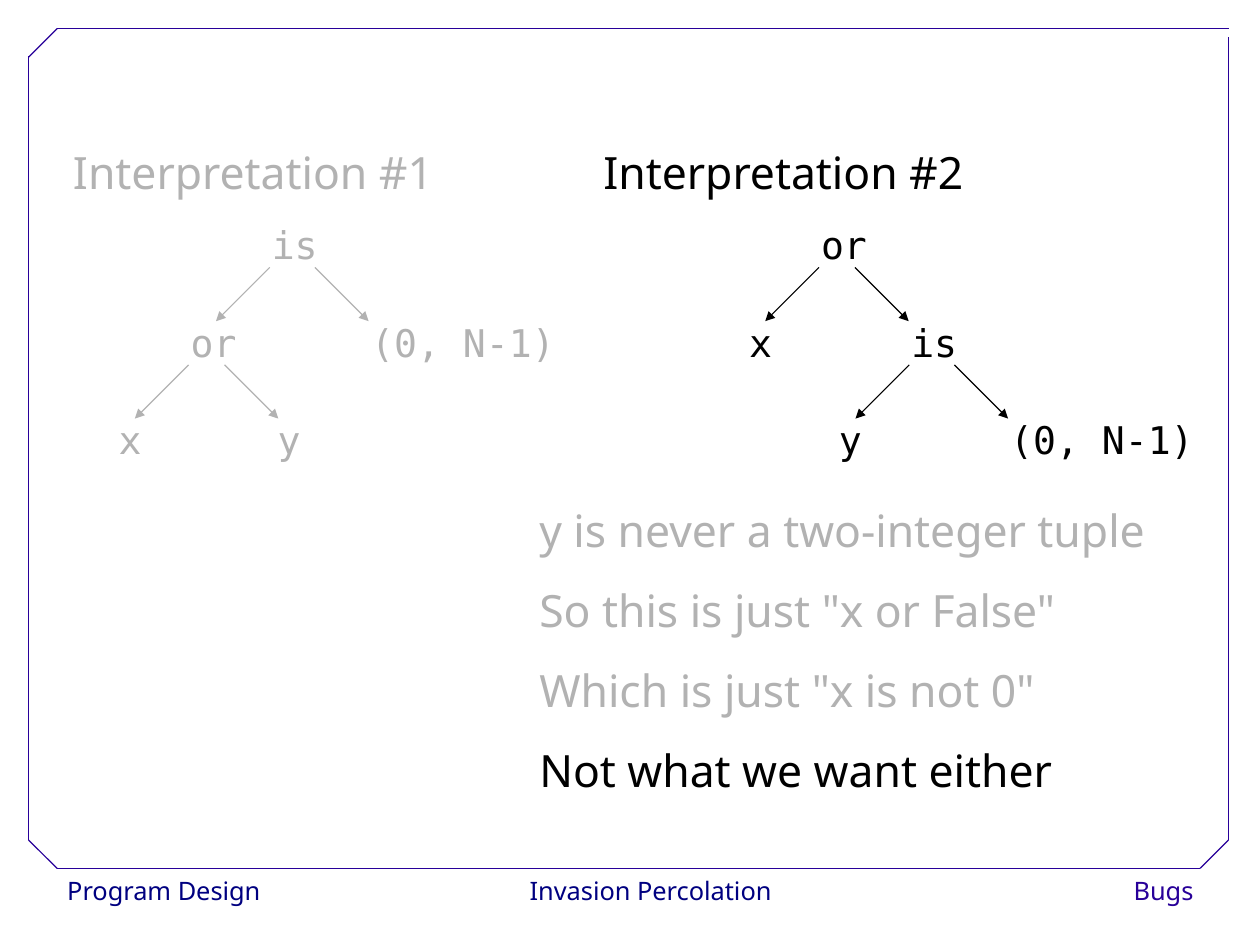
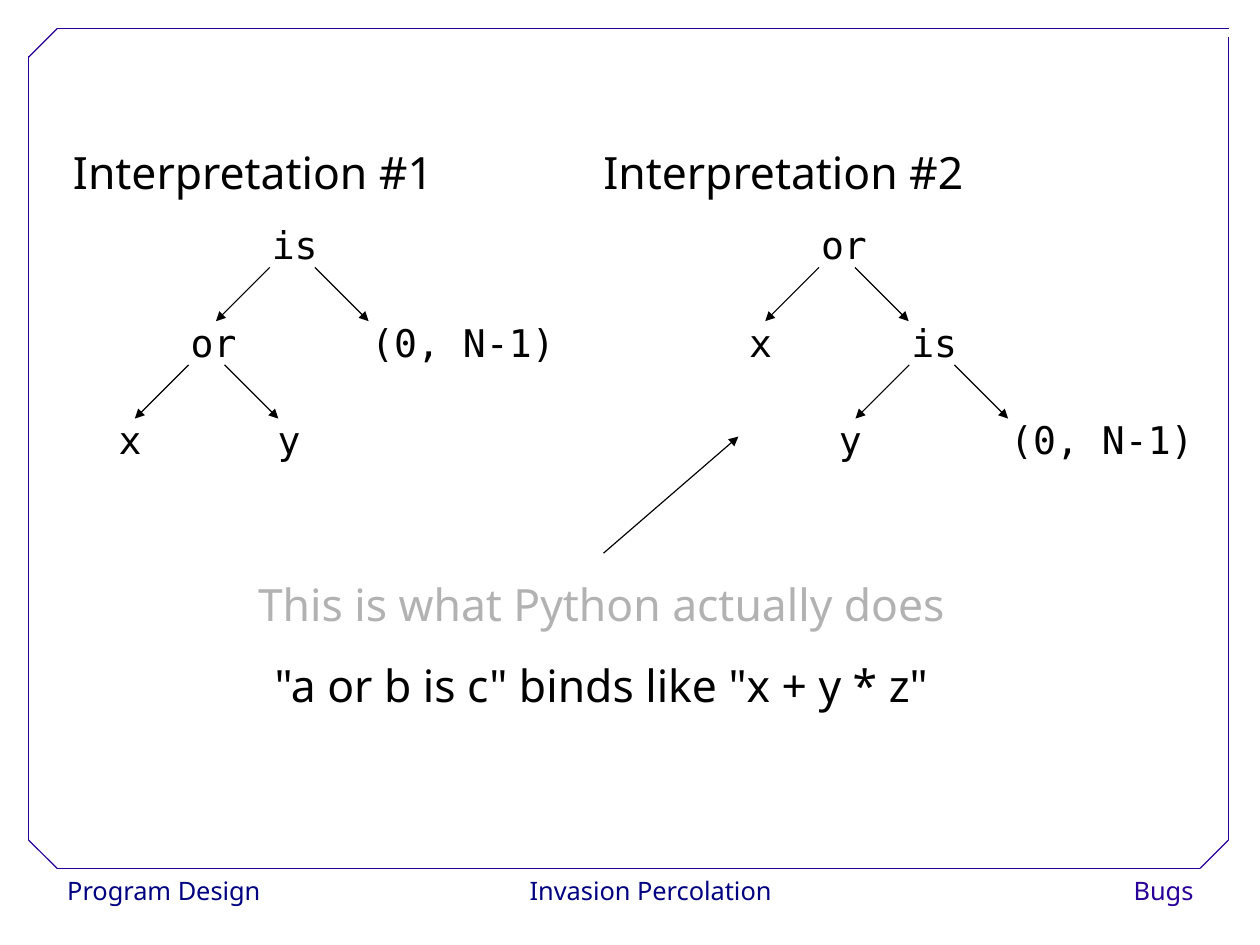
from dataclasses import dataclass
from lxml.etree import SubElement
from pptx import Presentation
from pptx.dml.color import RGBColor
from pptx.enum.shapes import MSO_CONNECTOR
from pptx.enum.text import PP_ALIGN
from pptx.oxml.ns import qn
from pptx.util import Cm, Inches, Pt


@dataclass(frozen=True)
class Theme:
    paper: RGBColor = RGBColor.from_string("FFFFFF")
    ink: RGBColor = RGBColor.from_string("000000")
    faded: RGBColor = RGBColor.from_string("B2B2B2")
    frame: RGBColor = RGBColor.from_string("280099")
    footer: RGBColor = RGBColor.from_string("000080")
    prose_font: str = "Noto Sans"
    code_font: str = "DejaVu Sans Mono"
    prose_size: int = 28
    code_size: int = 24
    footer_size: int = 16
    line_width: float = 0.75


THEME = Theme()
CELL = 0.25  # inches per grid column and row

PROSE = {"name": THEME.prose_font, "size": Pt(THEME.prose_size)}
CODE = {"name": THEME.code_font, "size": Pt(THEME.code_size)}
FOOTER = {"name": THEME.prose_font, "size": Pt(THEME.footer_size)}

FRAME_LINES = [
    ((2, 30.39), (42, 30.39)),
    ((1, 29.4), (1, 1.96)),
    ((2, 1), (43, 1)),
    ((42.99, 29.4), (42.99, 1.28)),
    ((1, 2), (2, 1)),
    ((42, 30.39), (42.99, 29.4)),
    ((1, 29.4), (2, 30.39)),
]
FOOTERS = [
    ("Program Design", 1.96, 7.6, PP_ALIGN.LEFT, THEME.footer),
    ("Invasion Percolation", 17.77, 10, PP_ALIGN.CENTER, THEME.footer),
    ("Bugs", 36.56, 5.6, PP_ALIGN.RIGHT, THEME.frame),
]

# A tree node is its text, its left column and its children.
IS_TREE = ("is", 9.12, [
    ("or", 6.28, [("x", 3.76, []), ("y", 9.32, [])]),
    ("(0, N-1)", 12.6, []),
])
OR_TREE = ("or", 28.34, [
    ("x", 25.82, []),
    ("is", 31.5, [("y", 28.96, []), ("(0, N-1)", 34.96, [])]),
])
TREE_TOP, LEVEL_STEP = 7.16, 3.41
NODE_HEIGHT, ARROW_REACH = 2.2, 1.88
CODE_ADVANCE = 0.82
LEFT_ARROW_START = 0.32
RIGHT_ARROW_START = {"is": 1.9, "or": 1.58}


def grid(cells):
    return Inches(cells * CELL)


class Deck:
    """Holds the presentation, its shared layout and the current page."""

    def __init__(self, width, height):
        self.presentation = Presentation()
        self.presentation.slide_width = width
        self.presentation.slide_height = height
        self.layout = self.presentation.slide_layouts.get_by_name("Blank")
        for placeholder in list(self.layout.placeholders):
            self.layout.shapes.element.remove(placeholder.element)
        self.page = None

    def add_page(self):
        self.page = self.presentation.slides.add_slide(self.layout)

    def share_page_shapes(self):
        """Move what is on the current page to the layout all pages use."""
        for shape in list(self.page.shapes):
            self.layout.shapes.element.append(shape.element)

    def text(self, place, lines, style, spacing, align=PP_ALIGN.LEFT, fill=None):
        """Write (text, colour) lines, one paragraph each."""
        box = self.page.shapes.add_textbox(*map(grid, place))
        if fill is not None:
            box.fill.solid()
            box.fill.fore_color.rgb = fill
        frame = box.text_frame
        frame.word_wrap = False
        for index, (words, color) in enumerate(lines):
            para = frame.add_paragraph() if index else frame.paragraphs[0]
            para.alignment = align
            para.line_spacing = spacing
            span = para.add_run()
            span.text = words
            for name, value in style.items():
                setattr(span.font, name, value)
            span.font.color.rgb = color

    def prose(self, place, lines, align=PP_ALIGN.LEFT):
        self.text(place, lines, PROSE, 1.5, align)

    def line(self, start, end, color, arrow=False):
        connector = self.page.shapes.add_connector(
            MSO_CONNECTOR.STRAIGHT, *map(grid, (*start, *end)))
        connector.line.color.rgb = color
        connector.line.width = Pt(THEME.line_width)
        properties = connector.element.spPr
        if arrow:
            SubElement(properties.find(qn("a:ln")), qn("a:tailEnd"), type="triangle")
        SubElement(properties, qn("a:effectLst"))

    def frame(self):
        for words, left, width, align, color in FOOTERS:
            self.text((left, 30.4, width, 1.6), [(words, color)],
                      FOOTER, 1.02, align, THEME.paper)
        for start, end in FRAME_LINES:
            self.line(start, end, THEME.frame)

    def tree(self, node, color, level=0):
        """Draw a node, then its two children with arrows to them."""
        words, left, children = node
        top = TREE_TOP + level * LEVEL_STEP
        width = CODE_ADVANCE * (len(words) + 1)
        self.text((left, top, width, NODE_HEIGHT), [(words, color)], CODE, 1.25)
        if children:
            bottom = top + NODE_HEIGHT
            for offset, reach in ((LEFT_ARROW_START, -ARROW_REACH),
                                  (RIGHT_ARROW_START[words], ARROW_REACH)):
                start = left + offset
                self.line((start, bottom), (start + reach, bottom + ARROW_REACH),
                          color, arrow=True)
        for child in children:
            self.tree(child, color, level + 1)

    def interpretations(self, first_color, second_color):
        columns = ((2.16, IS_TREE, first_color), (20.72, OR_TREE, second_color))
        for number, (left, tree, color) in enumerate(columns, start=1):
            self.prose((left, 3.94, 17.4, 3.2), [(f"Interpretation #{number}", color)])
            self.tree(tree, color)


def main():
    deck = Deck(Cm(28), Cm(21))

    deck.add_page()
    deck.frame()
    deck.share_page_shapes()
    deck.interpretations(THEME.faded, THEME.ink)
    deck.prose((18.48, 16.46, 25, 11.6), [
        ("y is never a two-integer tuple", THEME.faded),
        ('So this is just "x or False"', THEME.faded),
        ('Which is just "x is not 0"', THEME.faded),
        ("Not what we want either", THEME.ink),
    ])

    deck.add_page()
    deck.interpretations(THEME.ink, THEME.ink)
    deck.prose((6.64, 19.08, 28.8, 6), [
        ("This is what Python actually does", THEME.faded),
        ('"a or b is c" binds like "x + y * z"', THEME.ink),
    ], PP_ALIGN.CENTER)
    deck.line((21.12, 19.36), (25.84, 15.28), THEME.ink, arrow=True)

    deck.presentation.save("out.pptx")


if __name__ == "__main__":
    main()
